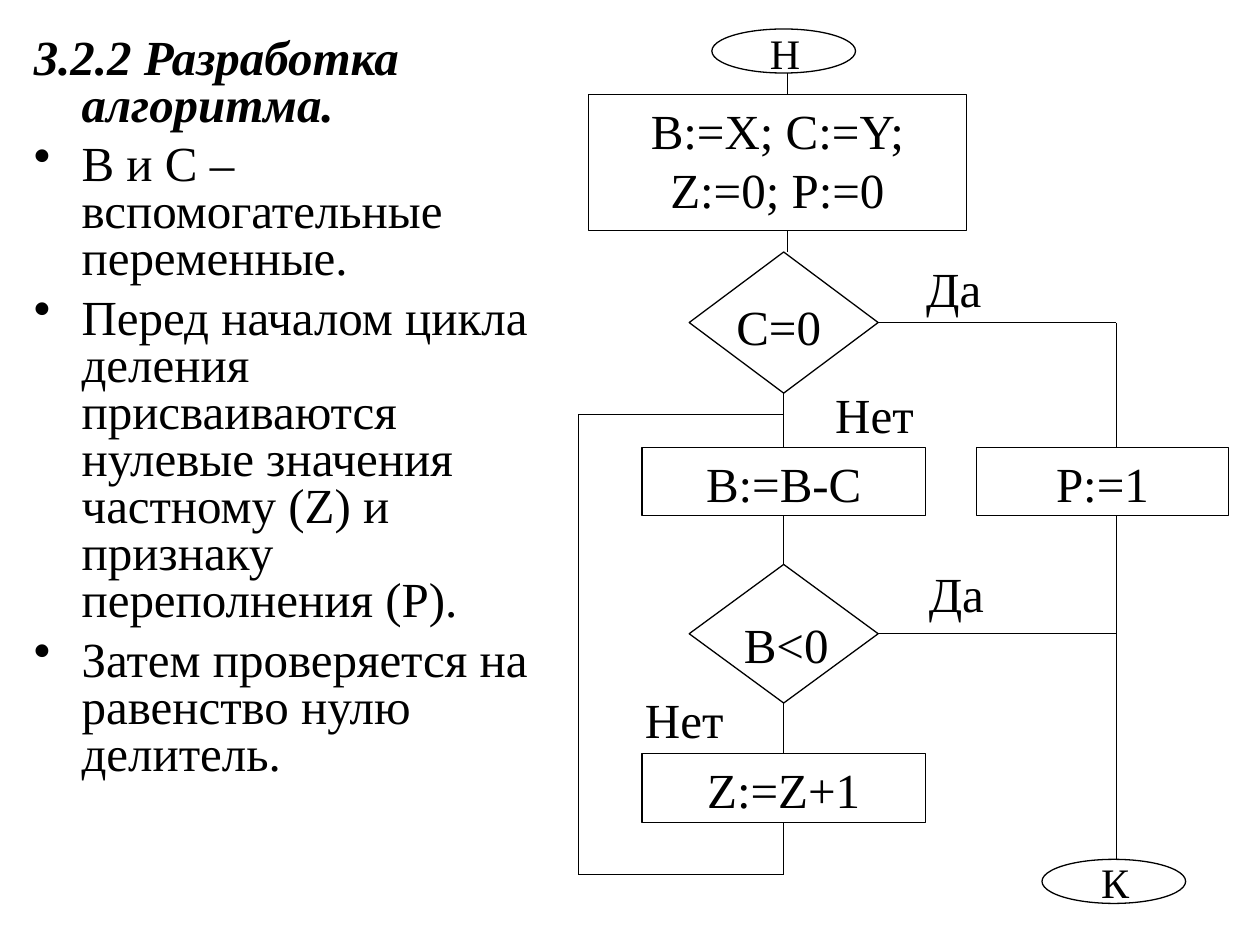
import pptx
import pptx.dml.color
import pptx.enum.shapes
import pptx.enum.text
import pptx.util
from lxml import etree
from pptx.oxml.ns import qn
from pptx.util import Inches

BLACK = pptx.dml.color.RGBColor(0, 0, 0)
Shape = pptx.enum.shapes.MSO_SHAPE
Align = pptx.enum.text.PP_ALIGN
TOP, LEFT, BOTTOM, RIGHT = range(4)

# Guide lines of the flowchart, in inches
MAIN_X = 6.22
ENTRY_X = 6.25
LOOP_X = 4.59
EXIT_X = 8.86
LOOP_TOP, LOOP_BOTTOM = 3.29, 6.94


def write_text(frame, lines, size=28, align=Align.CENTER, bold=False,
               italic=False, hang=0, line_spacing=None, space_before=0,
               bullets_from=None):
    """Fill a text frame, one paragraph for each line."""
    frame.word_wrap = True
    frame.vertical_anchor = pptx.enum.text.MSO_ANCHOR.TOP
    for index, line in enumerate(lines):
        para = frame.paragraphs[0] if index == 0 else frame.add_paragraph()
        para.alignment = align
        if line_spacing:
            para.line_spacing = line_spacing
        if index and space_before:
            para.space_before = pptx.util.Pt(space_before)
        properties = para._p.get_or_add_pPr()
        if hang:
            properties.set("marL", str(Inches(hang)))
            properties.set("indent", str(-Inches(hang)))
        bulleted = bullets_from is not None and index >= bullets_from
        if bulleted:
            colour = etree.SubElement(properties, qn("a:buClr"))
            etree.SubElement(colour, qn("a:srgbClr"), val=str(BLACK))
            etree.SubElement(properties, qn("a:buChar"), char="•")
        span = para.add_run()
        span.text = line
        span.font.name = "Times New Roman"
        span.font.size = pptx.util.Pt(size)
        span.font.bold = bold and not bulleted
        span.font.italic = italic and not bulleted
        span.font.color.rgb = BLACK


class Flowchart:
    """Draws on one slide with a thin black outline style."""

    def __init__(self, page, line_width=0.75):
        self.page = page
        self.line_width = pptx.util.Pt(line_width)

    def outline(self, item):
        item.line.color.rgb = BLACK
        item.line.width = self.line_width

    def block(self, kind, left, top, width, height, *lines):
        box = self.page.shapes.add_shape(
            kind, Inches(left), Inches(top), Inches(width), Inches(height))
        box.shadow.inherit = False
        box.fill.background()
        self.outline(box)
        if lines:
            write_text(box.text_frame, lines)
        return box

    def main_block(self, kind, top, width, height, *lines):
        return self.block(kind, MAIN_X - width / 2, top, width, height, *lines)

    def text(self, left, top, width, height, lines, **style):
        box = self.page.shapes.add_textbox(
            Inches(left), Inches(top), Inches(width), Inches(height))
        write_text(box.text_frame, lines, **style)

    def label(self, left, top, line, **style):
        self.text(left, top, 1.52, 0.48, [line], **style)

    def line(self, start, end, begin=None, finish=None):
        link = self.page.shapes.add_connector(
            pptx.enum.shapes.MSO_CONNECTOR.STRAIGHT,
            *[Inches(value) for value in (*start, *end)])
        if begin:
            link.begin_connect(*begin)
        if finish:
            link.end_connect(*finish)
        self.outline(link)
        etree.SubElement(link._element.spPr, qn("a:effectLst"))


def main():
    deck = pptx.Presentation()
    deck.slide_width, deck.slide_height = Inches(10), Inches(7.5)
    chart = Flowchart(deck.slides.add_slide(deck.slide_layouts[6]))

    # Explanation on the left
    chart.text(0.17, 0.25, 4.17, 6.58, [
        "3.2.2 Разработка алгоритма.",
        "B и C – вспомогательные переменные.",
        "Перед началом цикла деления присваиваются нулевые значения "
        "частному (Z) и признаку переполнения (P).",
        "Затем проверяется на равенство нулю делитель.",
    ], align=Align.LEFT, bold=True, italic=True, hang=0.38,
        line_spacing=0.8, space_before=7, bullets_from=1)

    # Blocks
    chart.main_block(Shape.OVAL, 0.23, 1.14, 0.35)
    chart.block(Shape.RECTANGLE, 4.67, 0.75, 3, 1.08,
                "B:=X; C:=Y;", "Z:=0; P:=0")
    zero_test = chart.main_block(Shape.DIAMOND, 2, 1.5, 1.12)
    subtract = chart.main_block(Shape.RECTANGLE, 3.55, 2.25, 0.54, "B:=B-C")
    sign_test = chart.main_block(Shape.DIAMOND, 4.48, 1.5, 1.1)
    count = chart.main_block(Shape.RECTANGLE, 5.98, 2.25, 0.55, "Z:=Z+1")
    chart.block(Shape.RECTANGLE, 7.75, 3.55, 2, 0.54, "P:=1")
    chart.block(Shape.OVAL, 8.27, 6.82, 1.14, 0.35)

    # Main path
    chart.line((ENTRY_X, 0.58), (ENTRY_X, 0.75))
    chart.line((ENTRY_X, 1.83), (ENTRY_X, 2))
    steps = [zero_test, subtract, sign_test, count]
    for upper, lower in zip(steps, steps[1:]):
        chart.line((MAIN_X, 0), (MAIN_X, 0), (upper, BOTTOM), (lower, TOP))

    # Loop back
    chart.line((MAIN_X, 6.53), (MAIN_X, LOOP_BOTTOM), begin=(count, BOTTOM))
    chart.line((LOOP_X, LOOP_TOP), (LOOP_X, LOOP_BOTTOM))
    for level in (LOOP_TOP, LOOP_BOTTOM):
        chart.line((LOOP_X, level), (MAIN_X, level))

    # Exit path
    for test, level in ((zero_test, 2.56), (sign_test, 5.03)):
        chart.line((6.97, level), (EXIT_X, level), begin=(test, RIGHT))
    chart.line((EXIT_X, 2.56), (EXIT_X, 3.55))
    chart.line((EXIT_X, 4.09), (EXIT_X, 6.82))

    # Labels
    chart.label(5.47, 0.17, "Н", size=24)
    chart.label(8.09, 6.75, "К", size=24)
    for left, top, line in ((5.42, 2.3, "C=0"), (5.48, 4.83, "B<0"),
                            (6.81, 2, "Да"), (6.83, 4.42, "Да"),
                            (6.18, 3, "Нет"), (4.67, 5.42, "Нет")):
        chart.label(left, top, line)

    deck.save("out.pptx")


if __name__ == "__main__":
    main()
